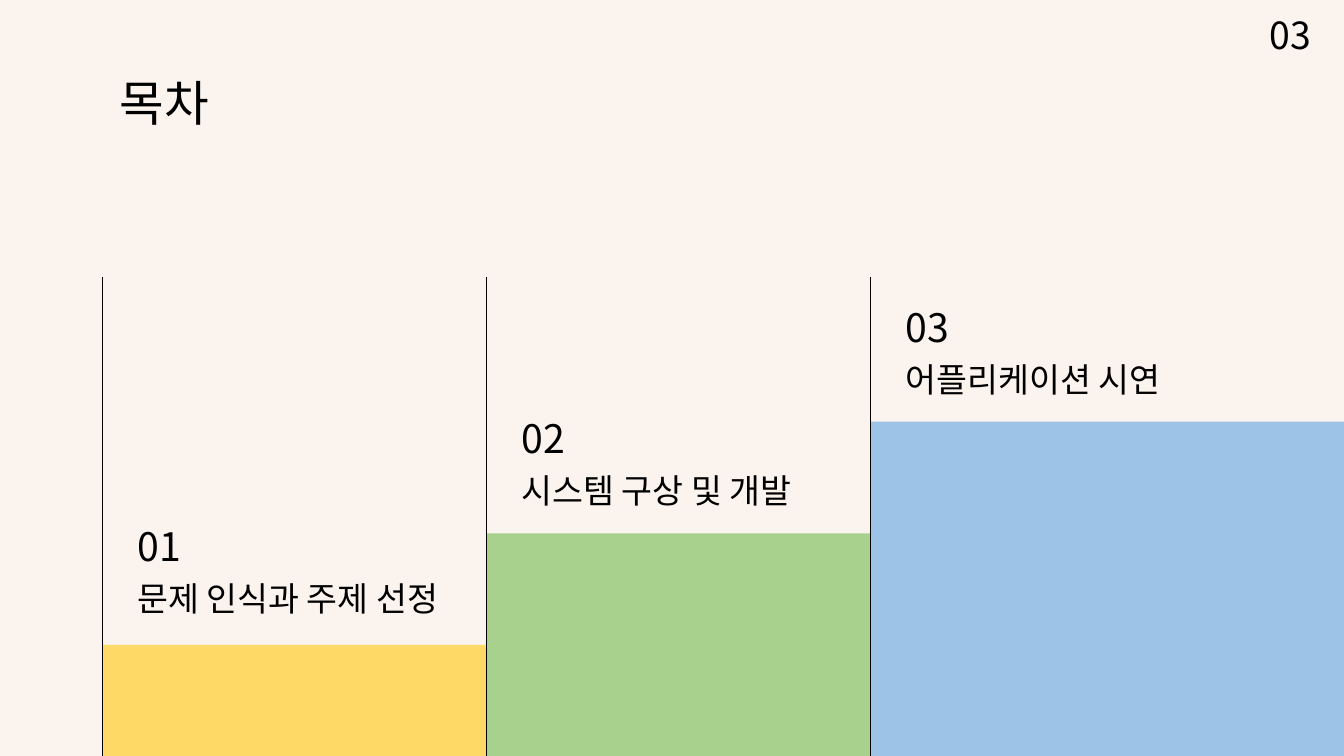
from lxml.etree import SubElement
from pptx import Presentation
from pptx.dml.color import RGBColor
from pptx.enum.shapes import MSO_CONNECTOR as CONN, MSO_SHAPE as SHAPE
from pptx.enum.text import MSO_ANCHOR as ANCHOR
from pptx.oxml.ns import qn
from pptx.util import Pt

# Content
TITLE = "목차"
PAGE = "03"
FONT = "Noto Sans CJK KR"
BLACK = RGBColor(0x00, 0x00, 0x00)
CREAM = RGBColor(0xFA, 0xF3, 0xEE)
YELLOW = RGBColor(0xFF, 0xD9, 0x66)
GREEN = RGBColor(0xA9, 0xD1, 0x8E)
BLUE = RGBColor(0x9D, 0xC3, 0xE6)
# number, heading, bar colour, gap from heading box to bar
SECTIONS = [
    ("01", "문제 인식과 주제 선정", YELLOW, 43.2),
    ("02", "시스템 구상 및 개발", GREEN, 41),
    ("03", "어플리케이션 시연", BLUE, 41),
]

# Layout, in points
WIDTH, HEIGHT = 720, 405
LEFT, COLUMN = 54.8, 205.8
FIRST_TOP, STEP = 345.5, 59.8
RULE_TOP = 148.3
INDENT = 11.7
NUMBER_RISE = 25.2

prs = Presentation()
prs.slide_width, prs.slide_height = Pt(WIDTH), Pt(HEIGHT)
s = prs.slides.add_slide(prs.slide_layouts[6])
s.background.fill.solid()
s.background.fill.fore_color.rgb = CREAM


def add_text(text, x, y, w, h, size, inset=7.2, spacing=1.0, anchor=ANCHOR.TOP):
    tf = s.shapes.add_textbox(Pt(x), Pt(y), Pt(w), Pt(h)).text_frame
    tf.word_wrap = True
    tf.vertical_anchor = anchor
    tf.margin_left = tf.margin_right = Pt(7.2)
    tf.margin_top = tf.margin_bottom = Pt(inset)
    p = tf.paragraphs[0]
    p.line_spacing = spacing
    r = p.add_run()
    r.text = text
    r.font.size = Pt(size)
    r.font.color.rgb = BLACK
    r.font.name = FONT
    SubElement(r.font._element, qn("a:ea"), typeface=FONT)


def add_bar(x, y, w, color):
    sp = s.shapes.add_shape(SHAPE.RECTANGLE, Pt(x), Pt(y), Pt(w), Pt(HEIGHT - y))
    sp.shadow.inherit = False
    sp.fill.solid()
    sp.fill.fore_color.rgb = color
    sp.line.fill.background()


def add_rule(x):
    line = s.shapes.add_connector(CONN.STRAIGHT, Pt(x), Pt(RULE_TOP), Pt(x), Pt(HEIGHT))
    line.line.color.rgb = BLACK
    line.line.width = Pt(0.75)
    SubElement(line._element.spPr, qn("a:effectLst"))


# Title and page number
add_text(TITLE, 56.9, 35.3, 252, 100.8, 26, spacing=0.9)
add_text(PAGE, 673.2, 2.9, 65.5, 31.7, 20, inset=3.6)

# Rising steps, the last one running to the slide edge
for i, (number, heading, color, gap) in enumerate(SECTIONS):
    x, top = LEFT + i * COLUMN, FIRST_TOP - i * STEP
    last = i == len(SECTIONS) - 1
    add_bar(x, top, WIDTH - x if last else COLUMN, color)
    y = top - gap
    add_text(number, x + INDENT, y - NUMBER_RISE, 57.6, 35.3, 21,
             spacing=0.9, anchor=ANCHOR.BOTTOM)
    add_text(heading, x + INDENT, y, 181.4, 40.3, 18)

# Column rules, above the bars
for i in range(len(SECTIONS)):
    add_rule(LEFT + i * COLUMN)

prs.save("out.pptx")
